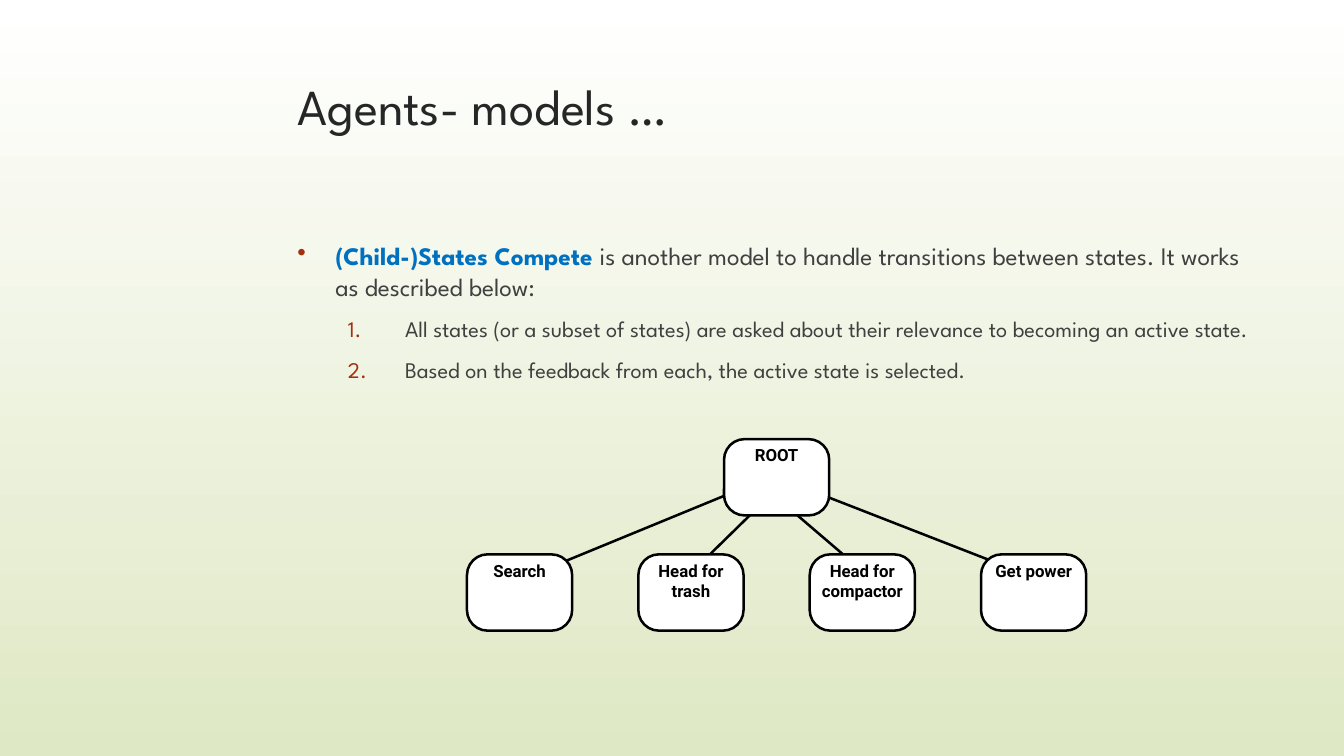
from pptx import Presentation
from pptx.dml.color import RGBColor
from pptx.enum import shapes, text
from pptx.oxml import ns, xmlchemy
from pptx.util import Pt

HEX = {
    "title": "262626", "body": "404040", "key": "0070C0", "mark": "A53010",
    "ink": "000000", "node": "FFFFFF", "top": "FFFFFF", "base": "DFE8C4",
}
HEAD, LABEL = "League Spartan", "Roboto"
WIDE, HIGH = 62.6, 45.4
LEFT, STEP = 278, 102
ROOT_Y, CHILD_Y = 261.4, 330
STATES = ["Search", "Head for trash", "Head for compactor", "Get power"]
LINKS = [
    (436.3, 293, 331.2, 336.2),
    (447.8, 305.3, 422.6, 330),
    (473.8, 306, 501.8, 330),
    (491, 295.2, 592.6, 334.8),
]
STEPS = [
    "All states (or a subset of states) are asked about their relevance "
    "to becoming an active state.",
    "Based on the feedback from each, the active state is selected.",
]


def color(name):
    return RGBColor.from_string(HEX[name])


def style(font, face, size, tint, bold=False):
    font.name = face
    font.size = Pt(size)
    font.bold = bold
    font.color.rgb = color(tint)


def paint(slide):
    fill = slide.background.fill
    fill.gradient()
    fill.gradient_angle = 270
    for stop, name in zip(fill.gradient_stops, ("top", "base")):
        stop.color.rgb = color(name)


def add_box(slide, x, y, w, h):
    frame = slide.shapes.add_textbox(Pt(x), Pt(y), Pt(w), Pt(h)).text_frame
    frame.word_wrap = True
    return frame


def bullet(para, left, hang, tag, **attrs):
    props = para._p.get_or_add_pPr()
    props.set("marL", str(Pt(left)))
    props.set("indent", str(-Pt(hang)))
    tint = xmlchemy.OxmlElement("a:buClr")
    rgb = xmlchemy.OxmlElement("a:srgbClr")
    rgb.set("val", HEX["mark"])
    tint.append(rgb)
    mark = xmlchemy.OxmlElement(tag)
    for key, value in attrs.items():
        mark.set(key, value)
    props.extend([tint, mark])


def add_title(slide):
    para = add_box(slide, 170, 41, 584.6, 84).paragraphs[0]
    para.text = "Agents- models …"
    style(para.font, HEAD, 30, "title")


def add_body(slide):
    frame = add_box(slide, 170, 139.7, 584.6, 100)
    para = frame.paragraphs[0]
    bullet(para, 22.5, 22.5, "a:buChar", char="•")
    style(para.font, HEAD, 15, "body")
    key = para.add_run()
    key.text = "(Child-)States Compete "
    key.font.bold = True
    key.font.color.rgb = color("key")
    para.add_run().text = (
        "is another model to handle transitions between states. "
        "It works as described below:"
    )
    for step in STEPS:
        para = frame.add_paragraph()
        para.text = step
        para.level = 1
        para.space_before = Pt(8.3)
        bullet(para, 64, 34, "a:buAutoNum", type="arabicPeriod")
        style(para.font, HEAD, 13.3, "body")


def add_link(slide, x1, y1, x2, y2):
    link = slide.shapes.add_connector(
        shapes.MSO_CONNECTOR.STRAIGHT, Pt(x1), Pt(y1), Pt(x2), Pt(y2))
    link.line.color.rgb = color("ink")
    link.line.width = Pt(1.5)
    link._element.find(ns.qn("p:spPr")).append(
        xmlchemy.OxmlElement("a:effectLst"))


def add_node(slide, x, y, label):
    node = slide.shapes.add_shape(
        shapes.MSO_SHAPE.ROUNDED_RECTANGLE, Pt(x), Pt(y), Pt(WIDE), Pt(HIGH))
    node.adjustments[0] = 0.27
    node.shadow.inherit = False
    node.fill.solid()
    node.fill.fore_color.rgb = color("node")
    node.line.color.rgb = color("ink")
    node.line.width = Pt(1.5)
    frame = node.text_frame
    frame.word_wrap = True
    frame.vertical_anchor = text.MSO_ANCHOR.TOP
    frame.margin_left = frame.margin_right = frame.margin_top = Pt(0)
    para = frame.paragraphs[0]
    para.text = label
    para.alignment = text.PP_ALIGN.CENTER
    style(para.font, LABEL, 10, "ink", True)


def main():
    deck = Presentation()
    deck.slide_width, deck.slide_height = Pt(800), Pt(450)
    slide = deck.slides.add_slide(deck.slide_layouts[6])
    paint(slide)
    add_title(slide)
    add_body(slide)
    for ends in LINKS:
        add_link(slide, *ends)
    for i, state in enumerate(STATES):
        add_node(slide, LEFT + i * STEP, CHILD_Y, state)
    add_node(slide, LEFT + 1.5 * STEP, ROOT_Y, "ROOT")
    deck.save("out.pptx")


if __name__ == "__main__":
    main()
